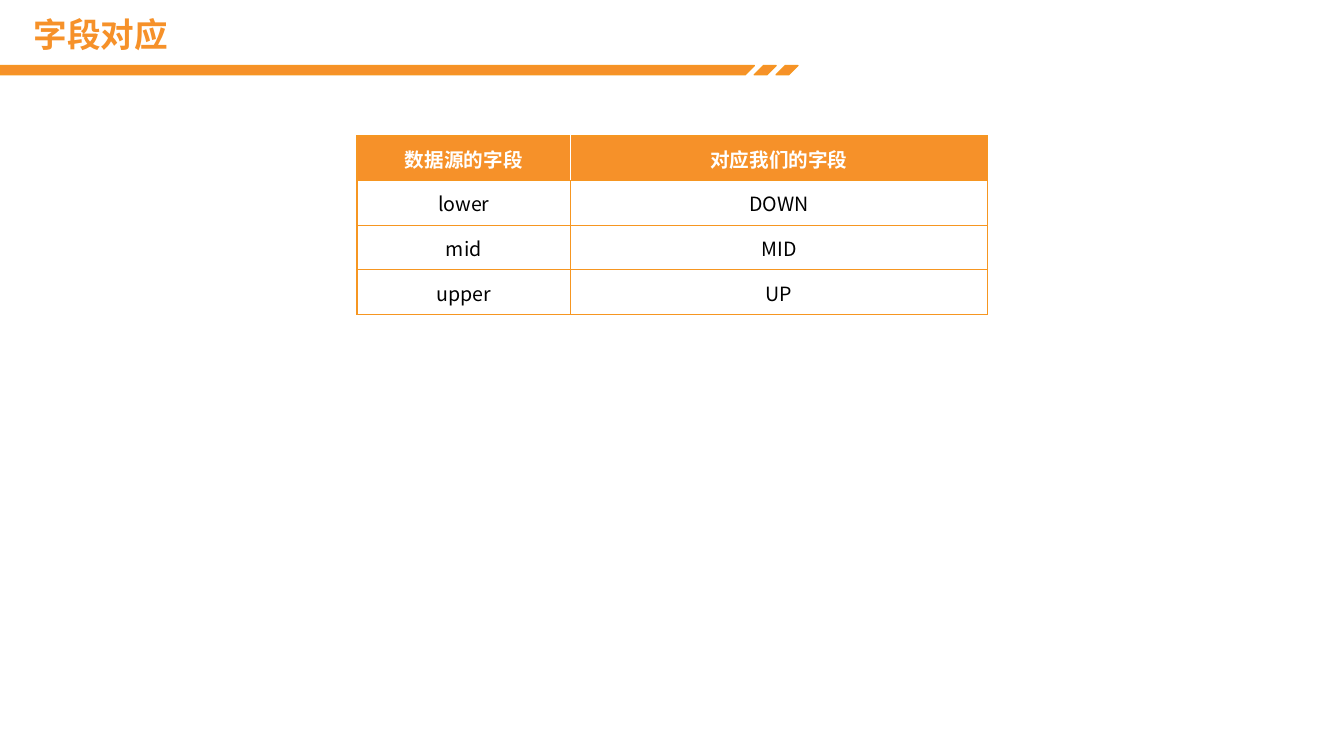
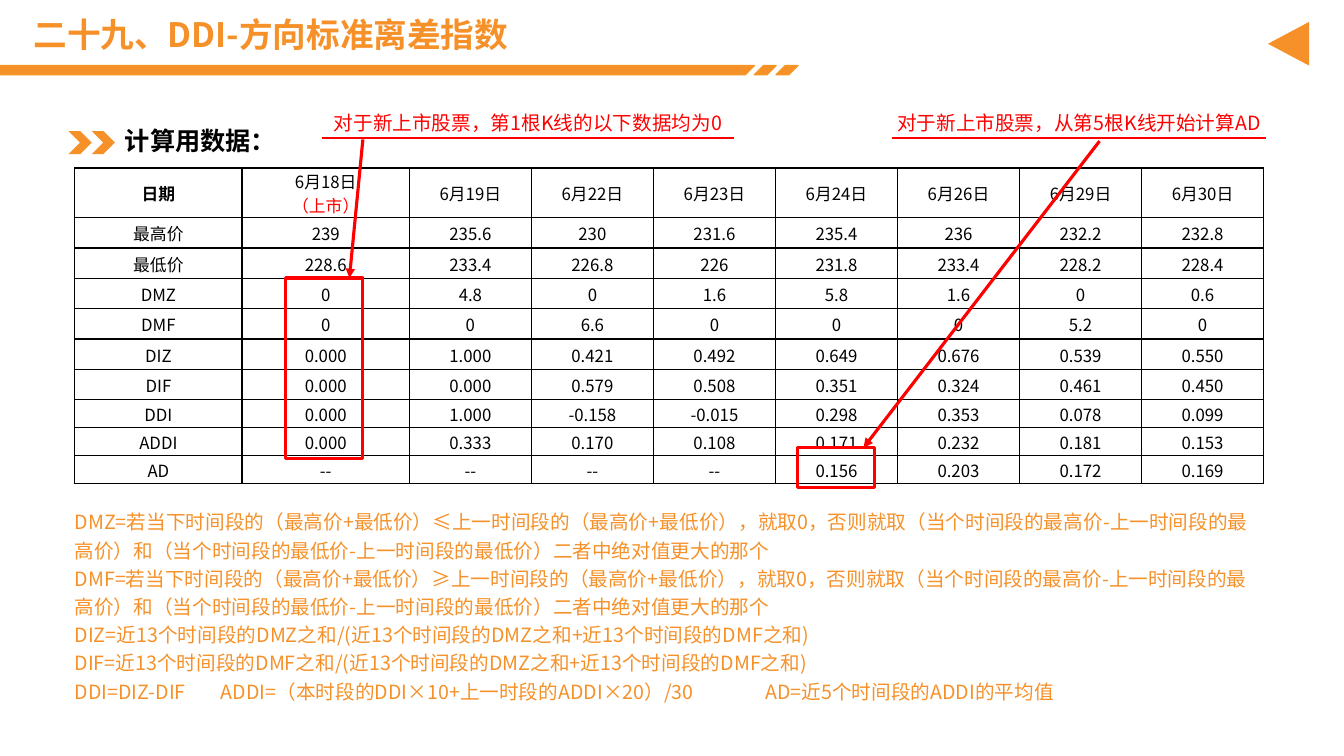
from dataclasses import dataclass
from typing import Optional

from lxml.etree import SubElement
from pptx import Presentation
from pptx.dml.color import RGBColor
from pptx.enum.shapes import MSO_CONNECTOR, MSO_SHAPE
from pptx.enum.text import MSO_ANCHOR, MSO_AUTO_SIZE, PP_ALIGN
from pptx.oxml.ns import qn
from pptx.util import Emu, Pt

ORANGE = RGBColor(0xF6, 0x91, 0x29)
EDGE = RGBColor(0xF6, 0x96, 0x21)
RED = RGBColor(0xFF, 0x00, 0x00)
BLACK = RGBColor(0x00, 0x00, 0x00)
WHITE = RGBColor(0xFF, 0xFF, 0xFF)
FACE = "Noto Sans CJK SC"
COLS, ROWS = 160, 90
CELL = 76200
RULE_ROW = 16.44


@dataclass(frozen=True)
class Box:
    """Area in columns and rows of the slide grid."""
    col: float
    row: float
    wide: float
    tall: float


@dataclass(frozen=True)
class Style:
    """Look of a run of text."""
    size: float
    ink: RGBColor = BLACK
    bold: bool = False


@dataclass(frozen=True)
class Block:
    """Text box with its lines and layout."""
    box: Box
    lines: tuple[str, ...]
    style: Style
    pads: tuple[float, ...] = (0, 0, 0, 0)
    space: float = 1.2
    align: PP_ALIGN = PP_ALIGN.LEFT
    anchor: MSO_ANCHOR = MSO_ANCHOR.TOP
    grow: bool = False
    tabs: tuple[float, ...] = ()


@dataclass(frozen=True)
class Grid:
    """Table with its corner, tracks and words."""
    col: float
    row: float
    wides: tuple[float, ...]
    talls: tuple[float, ...]
    cells: tuple[tuple[str, ...], ...]
    size: float
    edge: RGBColor
    band: Optional[RGBColor] = None


@dataclass(frozen=True)
class Line:
    """Straight red line, with or without an arrowhead."""
    start: tuple[float, float]
    end: tuple[float, float]
    width: float = 2.25
    arrow: bool = True


@dataclass(frozen=True)
class Note:
    """Red remark above a rule."""
    text: str
    col: float
    wide: float


TITLE_BOX = Box(2.8, 1.8, 146.3, 5.2)
BAND = (
    ((0, 7.8), (89.8, 7.8), (88.7, 8.9), (0, 8.9)),
    *(((x + 1.1, 7.8), (x + 2.6, 7.8), (x + 1.5, 8.9), (x, 8.9)) for x in (89.8, 92.4)),
)
FIELDS = Grid(42.5, 16.2, (25.44, 49.6), (5.31,) * 4, (
    ("数据源的字段", "对应我们的字段"),
    ("lower", "DOWN"),
    ("mid", "MID"),
    ("upper", "UP"),
), 14, EDGE, ORANGE)
DATA = Grid(8.9, 20, (19.92,) * 2 + (14.53,) * 7, (5.43,) + (3.61,) * 6 + (3.32,) * 3, (
    ("日期", "6月18日\n（上市）", "6月19日", "6月22日", "6月23日", "6月24日", "6月26日", "6月29日", "6月30日"),
    ("最高价", "239", "235.6", "230", "231.6", "235.4", "236", "232.2", "232.8"),
    ("最低价", "228.6", "233.4", "226.8", "226", "231.8", "233.4", "228.2", "228.4"),
    ("DMZ", "0", "4.8", "0", "1.6", "5.8", "1.6", "0", "0.6"),
    ("DMF", "0", "0", "6.6", "0", "0", "0", "5.2", "0"),
    ("DIZ", "0.000", "1.000", "0.421", "0.492", "0.649", "0.676", "0.539", "0.550"),
    ("DIF", "0.000", "0.000", "0.579", "0.508", "0.351", "0.324", "0.461", "0.450"),
    ("DDI", "0.000", "1.000", "-0.158", "-0.015", "0.298", "0.353", "0.078", "0.099"),
    ("ADDI", "0.000", "0.333", "0.170", "0.108", "0.171", "0.232", "0.181", "0.153"),
    ("AD", "--", "--", "--", "--", "0.156", "0.203", "0.172", "0.169"),
), 12, BLACK)
HEAD = Block(Box(13.7, 14.9, 24.7, 4.1), ("计算用数据：",), Style(18, BLACK, True),
             (1.2, 0.6, 1.2, 0.96), 1, anchor=MSO_ANCHOR.MIDDLE)
RULES = Block(Box(8.9, 60.2, 141.6, 23.3), (
    "DMZ=若当下时间段的（最高价+最低价）≤上一时间段的（最高价+最低价），就取0，否则就取（当个时间段的最高价-上一时间段的最高价）和（当个时间段的最低价-上一时间段的最低价）二者中绝对值更大的那个",
    "DMF=若当下时间段的（最高价+最低价）≥上一时间段的（最高价+最低价），就取0，否则就取（当个时间段的最高价-上一时间段的最高价）和（当个时间段的最低价-上一时间段的最低价）二者中绝对值更大的那个",
    "DIZ=近13个时间段的DMZ之和/(近13个时间段的DMZ之和+近13个时间段的DMF之和)",
    "DIF=近13个时间段的DMF之和/(近13个时间段的DMZ之和+近13个时间段的DMF之和)",
    "DDI=DIZ-DIF\tADDI=（本时段的DDI×10+上一时段的ADDI×20）/30\tAD=近5个时间段的ADDI的平均值",
), Style(14, ORANGE), grow=True, tabs=(17.4, 82.2))
NOTES = (
    Note("对于新上市股票，第1根K线的以下数据均为0", 38.3, 49.1),
    Note("对于新上市股票，从第5根K线开始计算AD", 106.2, 44.5),
)
ARROWS = (Line((130.9, 16.8), (102.8, 53.3)), Line((43.2, 16.6), (41.6, 33.1)))
FRAMES = (Box(94.9, 53.3, 9.2, 4.7), Box(34, 33.1, 9.2, 21.5))


def emu(cells: float) -> Emu:
    """Turn grid cells into a length."""
    return Emu(round(cells * CELL))


def place(box: Box) -> tuple[Emu, ...]:
    """Give the left, top, width and height of a box."""
    return emu(box.col), emu(box.row), emu(box.wide), emu(box.tall)


def add_run(para, text: str, style: Style) -> None:
    """Add one styled run to a paragraph."""
    run = para.add_run()
    run.text = text
    font = run.font
    font.size, font.bold, font.name = Pt(style.size), style.bold, FACE
    font.color.rgb = style.ink
    SubElement(font._element, qn("a:ea"), typeface=FACE)


def add_block(slide, block: Block) -> None:
    """Add a text box."""
    frame = slide.shapes.add_textbox(*place(block.box)).text_frame
    frame.word_wrap = True
    frame.auto_size = MSO_AUTO_SIZE.SHAPE_TO_FIT_TEXT if block.grow else MSO_AUTO_SIZE.NONE
    frame.vertical_anchor = block.anchor
    (frame.margin_left, frame.margin_top,
     frame.margin_right, frame.margin_bottom) = map(emu, block.pads)
    for spot, text in enumerate(block.lines):
        para = frame.add_paragraph() if spot else frame.paragraphs[0]
        para.alignment, para.line_spacing = block.align, block.space
        if "\t" in text:
            stops = SubElement(para._p.get_or_add_pPr(), qn("a:tabLst"))
            for tab in block.tabs:
                SubElement(stops, qn("a:tab"), pos=str(emu(tab)), algn="l")
        add_run(para, text, block.style)


def paint(shape, fill: Optional[RGBColor], edge: Optional[RGBColor] = None, width: float = 1) -> None:
    """Set the fill and outline of a shape."""
    shape.shadow.inherit = False
    if fill is None:
        shape.fill.background()
    else:
        shape.fill.solid()
        shape.fill.fore_color.rgb = fill
    if edge is None:
        shape.line.fill.background()
    else:
        shape.line.color.rgb, shape.line.width = edge, Pt(width)


def add_line(slide, line: Line) -> None:
    """Add a red rule or arrow."""
    link = slide.shapes.add_connector(
        MSO_CONNECTOR.STRAIGHT, *map(emu, line.start + line.end))
    link.line.color.rgb, link.line.width = RED, Pt(line.width)
    if line.arrow:
        SubElement(link.line._get_or_add_ln(), qn("a:tailEnd"), type="triangle")
    SubElement(link._element.spPr, qn("a:effectLst"))


def add_edge(cell, side: str, ink: RGBColor) -> None:
    """Add one border to a table cell."""
    line = SubElement(cell._tc.get_or_add_tcPr(), qn(f"a:ln{side}"), w=str(Pt(1)))
    fill = SubElement(line, qn("a:solidFill"))
    SubElement(fill, qn("a:srgbClr"), val=str(ink))


def add_grid(slide, grid: Grid) -> None:
    """Add a table with ruled cells."""
    box = Box(grid.col, grid.row, sum(grid.wides), sum(grid.talls))
    table = slide.shapes.add_table(len(grid.talls), len(grid.wides), *place(box)).table
    table.first_row = table.horz_banding = False
    for track, wide in zip(table.columns, grid.wides):
        track.width = emu(wide)
    for track, tall in zip(table.rows, grid.talls):
        track.height = emu(tall)
    last = len(grid.wides) - 1
    for row, words in enumerate(grid.cells):
        band = grid.band if row == 0 else None
        for col, text in enumerate(words):
            cell = table.cell(row, col)
            cell.vertical_anchor = MSO_ANCHOR.MIDDLE
            cell.margin_left = cell.margin_right = cell.margin_top = emu(0.12)
            cell.margin_bottom = 0
            inner = {"L": col > 0, "R": col < last, "T": False, "B": False}
            for side, within in inner.items():
                add_edge(cell, side, WHITE if band and within else grid.edge)
            if band:
                cell.fill.solid()
                cell.fill.fore_color.rgb = band
            else:
                cell.fill.background()
            bold = row == 0 and (col == 0 or band is not None)
            for spot, part in enumerate(text.split("\n")):
                frame = cell.text_frame
                para = frame.add_paragraph() if spot else frame.paragraphs[0]
                para.alignment = PP_ALIGN.CENTER
                ink = RED if spot else WHITE if band else BLACK
                add_run(para, part, Style(grid.size, ink, bold))


def add_page(deck, title: str):
    """Add a slide with the shared band and title."""
    slide = deck.slides.add_slide(deck.slide_layouts[6])
    for points in BAND:
        first, *rest = [(emu(x), emu(y)) for x, y in points]
        pen = slide.shapes.build_freeform(*first)
        pen.add_line_segments(rest, close=True)
        paint(pen.convert_to_shape(), ORANGE, EDGE)
    add_block(slide, Block(TITLE_BOX, (title,), Style(24, ORANGE, True),
                           (1.2, 0.6, 1.2, 0.6), 0.9, anchor=MSO_ANCHOR.MIDDLE))
    return slide


def add_index(deck) -> None:
    """Add the slide on the direction index."""
    slide = add_page(deck, "二十九、DDI-方向标准离差指数")
    for step in range(2):
        mark = Box(8.16 + 2.76 * step, 15.6, 2.76, 2.76)
        paint(slide.shapes.add_shape(MSO_SHAPE.CHEVRON, *place(mark)), ORANGE)
    add_block(slide, HEAD)
    back = slide.shapes.add_shape(
        MSO_SHAPE.ISOSCELES_TRIANGLE, *place(Box(150.8, 2.76, 5.2, 4.9)))
    back.rotation = 270
    paint(back, ORANGE)
    add_grid(slide, DATA)
    add_block(slide, RULES)
    for note in NOTES:
        add_block(slide, Block(Box(note.col, 12.6, note.wide, 3), (note.text,),
                               Style(14, RED), align=PP_ALIGN.CENTER, grow=True))
        add_line(slide, Line((note.col, RULE_ROW), (note.col + note.wide, RULE_ROW), 1.5, False))
    for arrow in ARROWS:
        add_line(slide, arrow)
    for frame in FRAMES:
        paint(slide.shapes.add_shape(MSO_SHAPE.RECTANGLE, *place(frame)), None, RED, 2.25)


def main() -> None:
    """Build and save the deck."""
    deck = Presentation()
    deck.slide_width, deck.slide_height = emu(COLS), emu(ROWS)
    add_grid(add_page(deck, "字段对应"), FIELDS)
    add_index(deck)
    deck.save("out.pptx")


if __name__ == "__main__":
    main()
